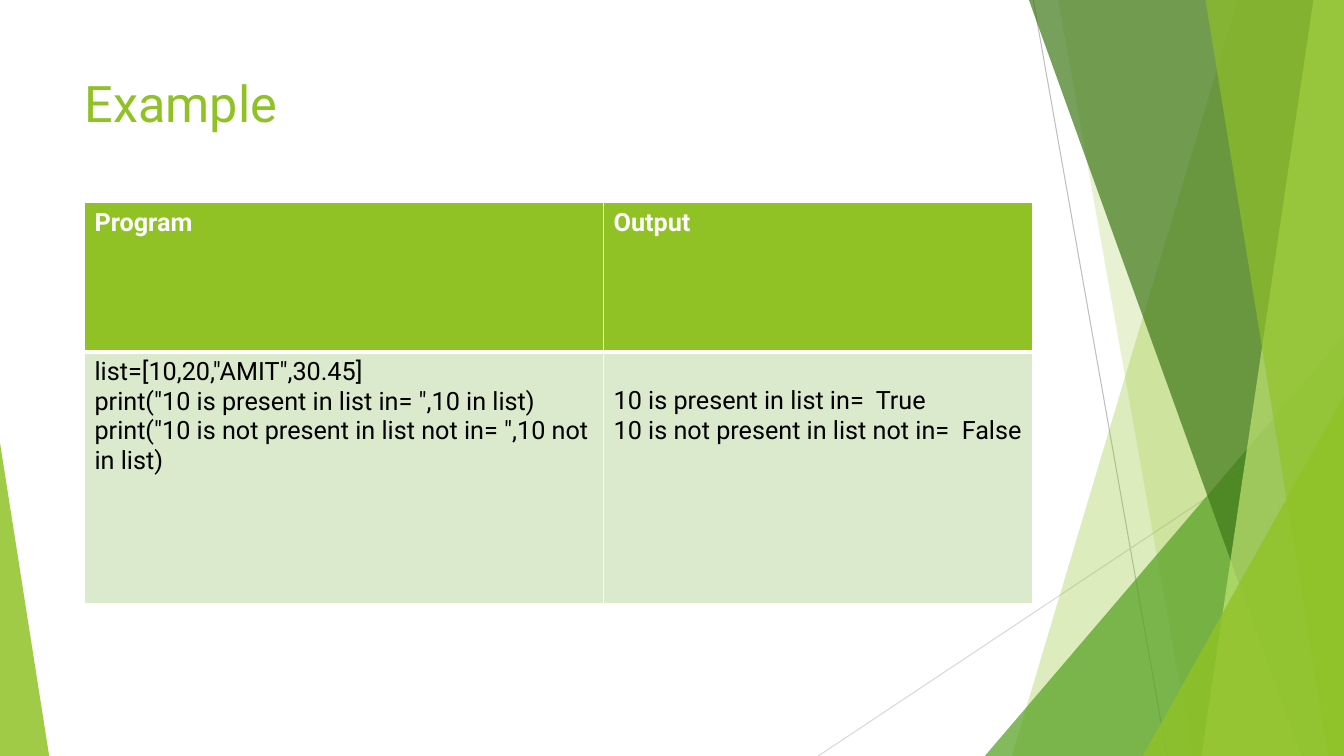
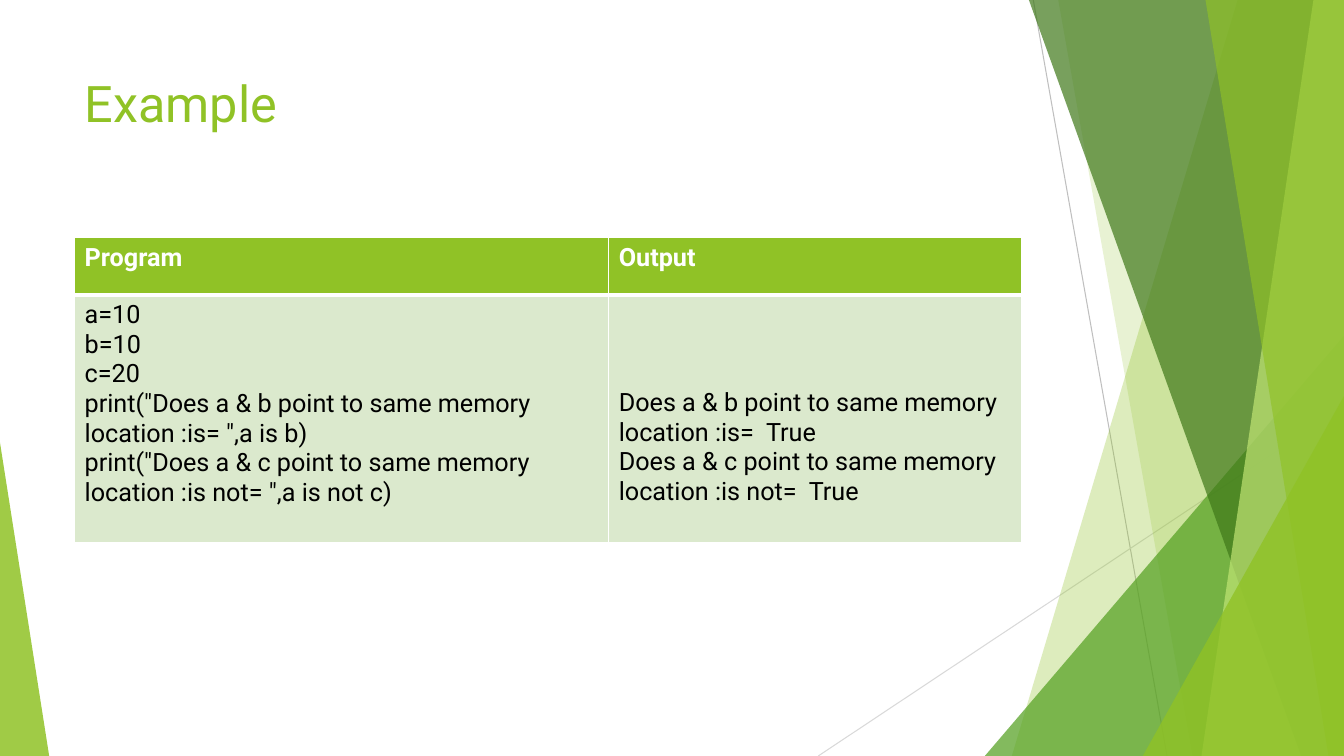
import pptx
import pptx.util
import pptx.dml.color
import pptx.enum.shapes
import pptx.enum.text
import pptx.oxml
import pptx.oxml.ns
from lxml import etree

Cm, Pt = pptx.util.Cm, pptx.util.Pt

COLOURS = {
    "green": "90C226", "mid": "54A021", "dark": "3F7819", "lime": "C0E474",
    "row": "DBE9CD", "white": "FFFFFF", "black": "000000",
    "line": "BFBFBF", "faint line": "D9D9D9",
}
FONT = "Roboto"
SLIDE_W, SLIDE_H = 33.87, 19.05
TITLE_BOX = (1.88, 1.7, 23.88, 3.66)
CELL_MARGIN = 0.13
TEXT_LINE = 0.74  # height of one line of 18 pt text

# Decoration, from back to front: start and end of each thin line
RAYS = [
    (26.04, 0, 29.41, SLIDE_H, "line"),
    (SLIDE_W, 10.24, 20.62, SLIDE_H, "faint line"),
]
# Panels: top x, bottom x; they reach the right edge
# Triangles: left, top, right, apex; they stand on the bottom edge
FACETS = [
    ("panel", (31.19, 25.5), "green", 30),
    ("panel", (26.67, 30.05), "green", 20),
    ("triangle", (24.82, 8.46, SLIDE_W, 1), "mid", 72),
    ("panel", (25.93, 32.79), "dark", 70),
    ("panel", (33.1, 30.28), "lime", 70),
    ("panel", (30.38, 33.48), "green", 65),
    ("triangle", (28.8, 9.98, SLIDE_W, 1), "green", 80),
    ("triangle", (0, 11.15, 1.24, 0), "green", 85),
]

EXAMPLES = [
    {
        "box": (2.13, 5.11), "columns": (13.08, 10.82), "rows": (3.76, 6.35),
        "program": [
            'list=[10,20,"AMIT",30.45]',
            'print("10 is present in list in= ",10 in list)',
            'print("10 is not present in list not in= ",10 not in list)',
        ],
        "output": [
            "10 is present in list in=  True",
            "10 is not present in list not in=  False",
        ],
        "output drop": 1,
    },
    {
        "box": (1.88, 5.99), "columns": (13.46, 10.41), "rows": (1.45, 6.22),
        "program": [
            "a=10",
            "b=10",
            "c=20",
            'print("Does a & b point to same memory location :is= ",a is b)',
            'print("Does a & c point to same memory location :is not= ",a is not c)',
        ],
        "output": [
            "Does a & b point to same memory location :is=  True",
            "Does a & c point to same memory location :is not=  True",
        ],
        "output drop": 3,
    },
]


def rgb(name):
    return pptx.dml.color.RGBColor.from_string(COLOURS[name])


def style_text(paragraph, size, colour, bold=False):
    for run in paragraph.runs:
        run.font.name = FONT
        run.font.size = Pt(size)
        run.font.bold = bold
        run.font.color.rgb = rgb(colour)


def fill_facet(facet, colour, opacity):
    facet.shadow.inherit = False
    facet.line.fill.background()
    facet.fill.solid()
    facet.fill.fore_color.rgb = rgb(colour)
    srgb = facet.fill._xPr.find(".//" + pptx.oxml.ns.qn("a:srgbClr"))
    etree.SubElement(srgb, pptx.oxml.ns.qn("a:alpha"), val=str(opacity * 1000))


def add_decoration(slide, left, top, width, height):
    parts = slide.shapes.add_group_shape().shapes
    right, bottom = left + width, top + height

    # Thin rays
    for x1, y1, x2, y2, colour in RAYS:
        ray = parts.add_connector(
            pptx.enum.shapes.MSO_CONNECTOR.STRAIGHT,
            Cm(left + x1), Cm(top + y1), Cm(left + x2), Cm(top + y2))
        ray.line.color.rgb = rgb(colour)
        ray.line.width = Pt(0.75)
        etree.SubElement(ray._element.spPr, pptx.oxml.ns.qn("a:effectLst"))

    # Translucent facets
    for kind, place, colour, opacity in FACETS:
        if kind == "panel":
            top_x, bottom_x = place
            outline = parts.build_freeform(Cm(left + top_x), Cm(top))
            outline.add_line_segments([
                (Cm(right), Cm(top)), (Cm(right), Cm(bottom)),
                (Cm(left + bottom_x), Cm(bottom))])
            facet = outline.convert_to_shape()
        else:
            start, peak, end, apex = place
            facet = parts.add_shape(
                pptx.enum.shapes.MSO_SHAPE.ISOSCELES_TRIANGLE,
                Cm(left + start), Cm(top + peak),
                Cm(end - start), Cm(height - peak))
            facet.adjustments[0] = apex
        fill_facet(facet, colour, opacity)


def add_title(slide, text, box):
    title = slide.shapes.title
    title.left, title.top, title.width, title.height = map(Cm, box)
    frame = title.text_frame
    frame.text = text
    frame.word_wrap = True
    frame.vertical_anchor = pptx.enum.text.MSO_ANCHOR.TOP
    frame.paragraphs[0].alignment = pptx.enum.text.PP_ALIGN.LEFT
    style_text(frame.paragraphs[0], 36, "green")


def set_borders(cell, top, bottom):
    widths = {"L": 1, "R": 1, "T": top, "B": bottom}
    for index, (side, points) in enumerate(widths.items()):
        border = pptx.oxml.parse_xml(
            f'<a:ln{side} {pptx.oxml.ns.nsdecls("a")} w="{Pt(points)}">'
            f'<a:solidFill><a:srgbClr val="{COLOURS["white"]}"/></a:solidFill>'
            f'</a:ln{side}>')
        cell._tc.get_or_add_tcPr().insert(index, border)


def fill_cell(cell, lines, is_header, drop=0):
    cell.fill.solid()
    cell.fill.fore_color.rgb = rgb("green" if is_header else "row")
    cell.margin_top = Cm(CELL_MARGIN + drop * TEXT_LINE)
    cell.text_frame.text = "\n".join(lines)
    for paragraph in cell.text_frame.paragraphs:
        style_text(paragraph, 18, "white" if is_header else "black", is_header)
    set_borders(cell, *((1, 3) if is_header else (3, 1)))


def add_code_table(slide, example):
    left, top = example["box"]
    columns, rows = example["columns"], example["rows"]
    table = slide.shapes.add_table(
        len(rows), len(columns), Cm(left), Cm(top),
        Cm(sum(columns)), Cm(sum(rows))).table
    for column, width in zip(table.columns, columns):
        column.width = Cm(width)
    for row, height in zip(table.rows, rows):
        row.height = Cm(height)

    # Each column: heading, code or result, and lines the result is lowered by
    contents = [("Program", example["program"], 0),
                ("Output", example["output"], example["output drop"])]
    for index, (heading, lines, drop) in enumerate(contents):
        fill_cell(table.cell(0, index), [heading], True)
        fill_cell(table.cell(1, index), lines, False, drop)


def add_example_slide(deck, example):
    slide = deck.slides.add_slide(deck.slide_layouts[5])
    add_decoration(slide, 0, 0, SLIDE_W, SLIDE_H)
    add_title(slide, "Example", TITLE_BOX)
    add_code_table(slide, example)


def main():
    deck = pptx.Presentation()
    deck.slide_width, deck.slide_height = Cm(SLIDE_W), Cm(SLIDE_H)
    for example in EXAMPLES:
        add_example_slide(deck, example)
    deck.save("out.pptx")


if __name__ == "__main__":
    main()
